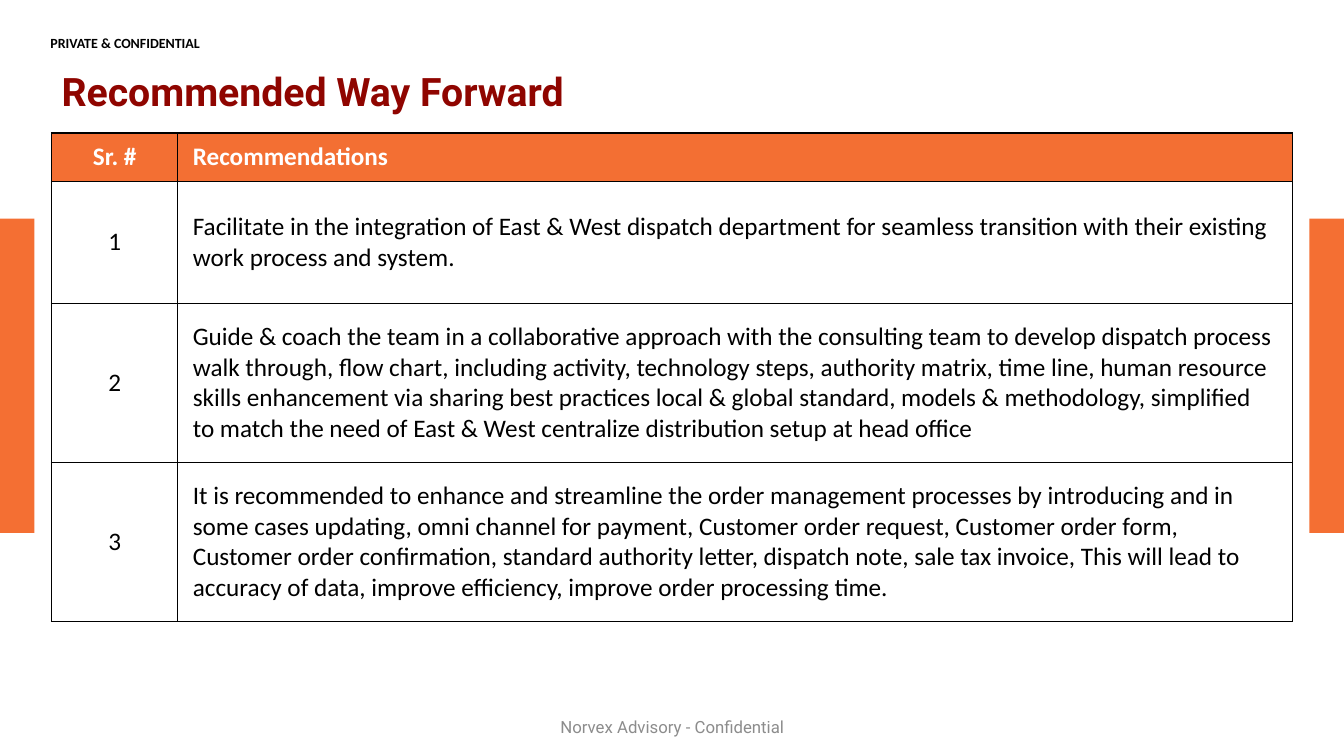
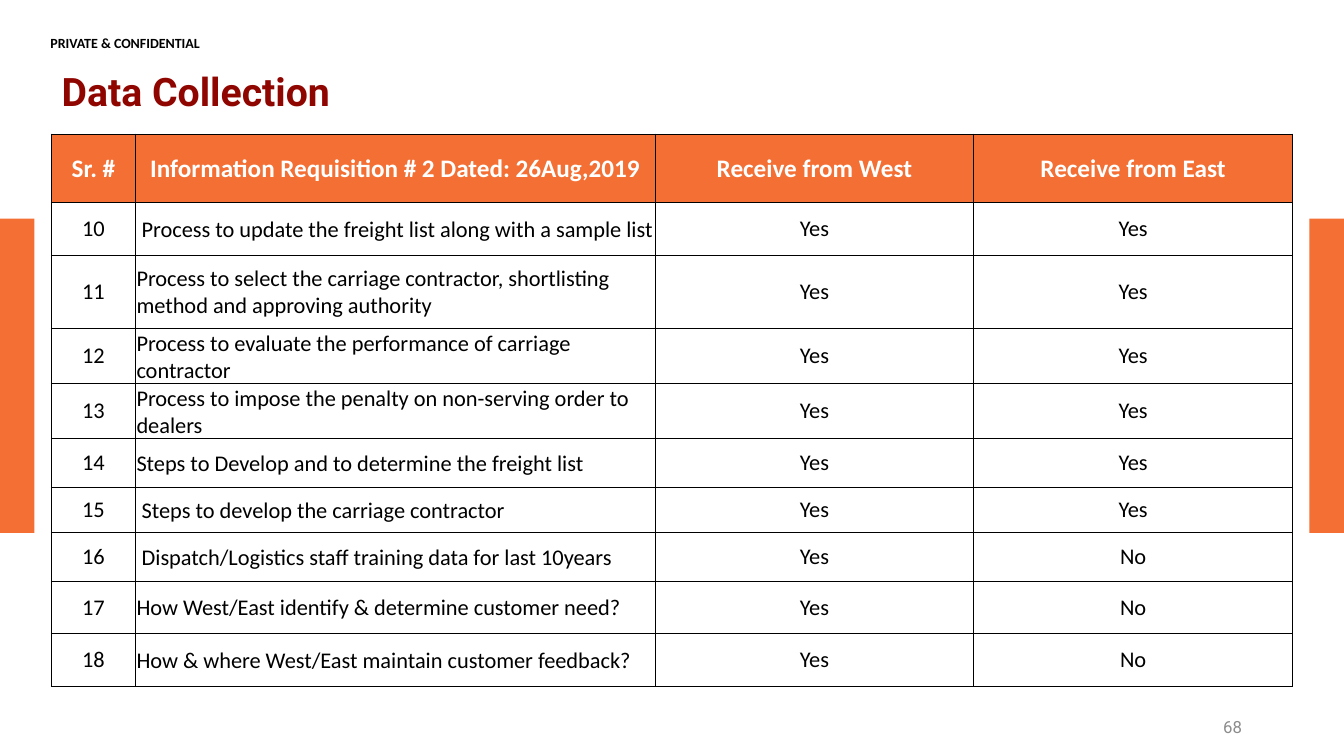
"""Build two consulting slides: a recommendations table and a data collection table."""
from dataclasses import dataclass

from lxml.etree import SubElement
from pptx import Presentation
from pptx.dml.color import RGBColor
from pptx.enum.shapes import MSO_SHAPE
from pptx.enum.text import MSO_ANCHOR, MSO_AUTO_SIZE, PP_ALIGN
from pptx.oxml.ns import qn
from pptx.util import Cm, Pt


@dataclass(frozen=True)
class Theme:
    """Colours, fonts and type sizes shared by the slides."""
    band: str = "F46F33"
    header: str = "F36F33"
    title: str = "8F0500"
    ink: str = "000000"
    paper: str = "FFFFFF"
    muted: str = "8C8C8C"
    heading_font: str = "Roboto"
    body_font: str = "Calibri"
    title_size: int = 28
    header_size: int = 18
    footer_size: int = 12
    label_size: int = 10
    border_width: int = 1


THEME = Theme()
PAGE_WIDTH, PAGE_HEIGHT = 33.87, 19.05
BAND_TOP, BAND_WIDTH, BAND_HEIGHT = 5.51, 0.87, 7.92
TABLE_LEFT, TABLE_WIDTH = 1.3, 31.27
FOOTER_TOP, FOOTER_HEIGHT = 17.81, 1.02
TIGHT_MARGINS = (0.03, 0.03, 0, 0)
INDENTED_MARGINS = (0.16, 0.03, 0, 0)
LEFT, CENTER, RIGHT = PP_ALIGN.LEFT, PP_ALIGN.CENTER, PP_ALIGN.RIGHT

CONFIDENTIAL_LABEL = "PRIVATE & CONFIDENTIAL"
INDENTED_ITEMS = {"10", "15", "16"}

RECOMMENDATIONS = [
    ("Sr. #", "Recommendations"),
    ("1", "Facilitate in the integration of East & West dispatch department for seamless "
          "transition with their existing work process and system."),
    ("2", "Guide & coach the team in a collaborative approach with the consulting team to "
          "develop dispatch process walk through, flow chart, including activity, technology "
          "steps, authority matrix, time line, human resource skills enhancement via sharing "
          "best practices local & global standard, models & methodology, simplified to match "
          "the need of East & West centralize distribution setup at head office"),
    ("3", "It is recommended to enhance and streamline the order management processes by "
          "introducing and in some cases updating, omni channel for payment, Customer order "
          "request, Customer order form, Customer order confirmation, standard authority "
          "letter, dispatch note, sale tax invoice, This will lead to accuracy of data, "
          "improve efficiency, improve order processing time."),
]

REQUISITIONS = [
    ("Sr. #", "Information Requisition # 2 Dated: 26Aug,2019",
     "Receive from West", "Receive from East"),
    ("10", "Process to update the freight list along with a sample list", "Yes", "Yes"),
    ("11", "Process to select the carriage contractor, shortlisting method and "
           "approving authority", "Yes", "Yes"),
    ("12", "Process to evaluate the performance of carriage contractor", "Yes", "Yes"),
    ("13", "Process to impose the penalty on non-serving order to dealers", "Yes", "Yes"),
    ("14", "Steps to Develop and to determine the freight list", "Yes", "Yes"),
    ("15", "Steps to develop the carriage contractor", "Yes", "Yes"),
    ("16", "Dispatch/Logistics staff training data for last 10years", "Yes", "No"),
    ("17", "How West/East identify & determine customer need?", "Yes", "No"),
    ("18", "How & where West/East maintain customer feedback?", "Yes", "No"),
]

PAGES = [
    {
        "title": "Recommended Way Forward",
        "rows": RECOMMENDATIONS,
        "top": 3.35,
        "columns": [3.18, TABLE_WIDTH - 3.18],
        "heights": [1.22, 3.07, 4.01, 4.01],
        "side_margin": 0.38,
        "body_size": 18,
        "header_align": [CENTER, LEFT],
        "tight_text": False,
        "footer": ("Norvex Advisory - Confidential", 11.23, 11.43, CENTER),
    },
    {
        "title": "Data Collection",
        "rows": REQUISITIONS,
        "top": 3.38,
        "columns": [2.11, 13.1] + [(TABLE_WIDTH - 2.11 - 13.1) / 2] * 2,
        "heights": [1.73, 1.32, 1.85, 1.32, 1.32, 1.24, 1.12, 1.24, 1.32, 1.32],
        "side_margin": 0.33,
        "body_size": 16,
        "header_align": [CENTER] * 4,
        "tight_text": True,
        "footer": ("68", 23.93, 7.62, RIGHT),
    },
]


def style_paragraph(para, font_name, size, color, bold=False, align=LEFT):
    """Set the alignment and font of a paragraph."""
    para.alignment = align
    font = para.font
    font.name, font.size, font.bold = font_name, Pt(size), bold
    font.color.rgb = RGBColor.from_string(color)


def add_label(page, text, place, margins, anchor, **style):
    """Add a one-paragraph text box."""
    box = page.shapes.add_textbox(*map(Cm, place))
    frame = box.text_frame
    frame.word_wrap = True
    frame.vertical_anchor = anchor
    set_margins(frame, margins)
    frame.text = text
    style_paragraph(frame.paragraphs[0], **style)


def set_margins(target, margins):
    """Set left, top, right and bottom margins of a frame or a cell."""
    (target.margin_left, target.margin_top,
     target.margin_right, target.margin_bottom) = map(Cm, margins)


def add_borders(cell):
    """Draw a thin line on each side of a cell."""
    properties = cell._tc.get_or_add_tcPr()
    for side in ("lnL", "lnR", "lnT", "lnB"):
        line = SubElement(properties, qn(f"a:{side}"), w=str(Pt(THEME.border_width)))
        fill = SubElement(line, qn("a:solidFill"))
        SubElement(fill, qn("a:srgbClr"), val=THEME.ink)


def add_frame(page, title):
    """Add the side bands, the confidentiality label and the title."""
    for left in (0, PAGE_WIDTH - BAND_WIDTH):
        band = page.shapes.add_shape(
            MSO_SHAPE.RECTANGLE, Cm(left), Cm(BAND_TOP), Cm(BAND_WIDTH), Cm(BAND_HEIGHT))
        band.shadow.inherit = False
        band.fill.solid()
        band.fill.fore_color.rgb = RGBColor.from_string(THEME.band)
        band.line.fill.background()
    add_label(page, CONFIDENTIAL_LABEL, (1.27, 0.86, 6.43, 0.3), (0, 0, 0, 0),
              MSO_ANCHOR.TOP, font_name=THEME.body_font, size=THEME.label_size,
              color=THEME.ink, bold=True)
    heading = page.shapes.title
    heading.left, heading.top, heading.width, heading.height = map(
        Cm, (TABLE_LEFT, 1.47, 27.58, 1.8))
    frame = heading.text_frame
    frame.text = title
    frame.auto_size = MSO_AUTO_SIZE.NONE
    frame.vertical_anchor = MSO_ANCHOR.MIDDLE
    para = frame.paragraphs[0]
    para.line_spacing = 0.9
    style_paragraph(para, THEME.heading_font, THEME.title_size, THEME.title, bold=True)


def add_grid(page, content):
    """Add the bordered table of a page."""
    rows, columns, heights = content["rows"], content["columns"], content["heights"]
    table = page.shapes.add_table(
        len(rows), len(columns), Cm(TABLE_LEFT), Cm(content["top"]),
        Cm(TABLE_WIDTH), Cm(sum(heights))).table
    table.horz_banding = False
    for column, width in zip(table.columns, columns):
        column.width = Cm(width)
    for row, height in zip(table.rows, heights):
        row.height = Cm(height)
    side = content["side_margin"]
    for row_index, values in enumerate(rows):
        is_header = row_index == 0
        for column_index, value in enumerate(values):
            is_text = column_index == 1 and not is_header
            margins = (side, 0.13, side, 0.13)
            if is_text and content["tight_text"]:
                margins = INDENTED_MARGINS if values[0] in INDENTED_ITEMS else TIGHT_MARGINS
            cell = table.cell(row_index, column_index)
            cell.text = value
            cell.vertical_anchor = MSO_ANCHOR.MIDDLE
            set_margins(cell, margins)
            add_borders(cell)
            cell.fill.solid()
            cell.fill.fore_color.rgb = RGBColor.from_string(
                THEME.header if is_header else THEME.paper)
            body_align = LEFT if is_text else CENTER
            style_paragraph(
                cell.text_frame.paragraphs[0], THEME.body_font,
                THEME.header_size if is_header else content["body_size"],
                THEME.paper if is_header else THEME.ink, bold=is_header,
                align=content["header_align"][column_index] if is_header else body_align)


def add_footer(page, text, left, width, align):
    """Add the muted line at the foot of a page."""
    add_label(page, text, (left, FOOTER_TOP, width, FOOTER_HEIGHT),
              (0.25, 0.13, 0.25, 0.13), MSO_ANCHOR.MIDDLE,
              font_name=THEME.heading_font, size=THEME.footer_size,
              color=THEME.muted, align=align)


def main():
    """Build and save the deck."""
    deck = Presentation()
    deck.slide_width, deck.slide_height = Cm(PAGE_WIDTH), Cm(PAGE_HEIGHT)
    title_only = deck.slide_layouts[5]
    for content in PAGES:
        page = deck.slides.add_slide(title_only)
        add_frame(page, content["title"])
        add_grid(page, content)
        add_footer(page, *content["footer"])
    deck.save("out.pptx")


if __name__ == "__main__":
    main()
